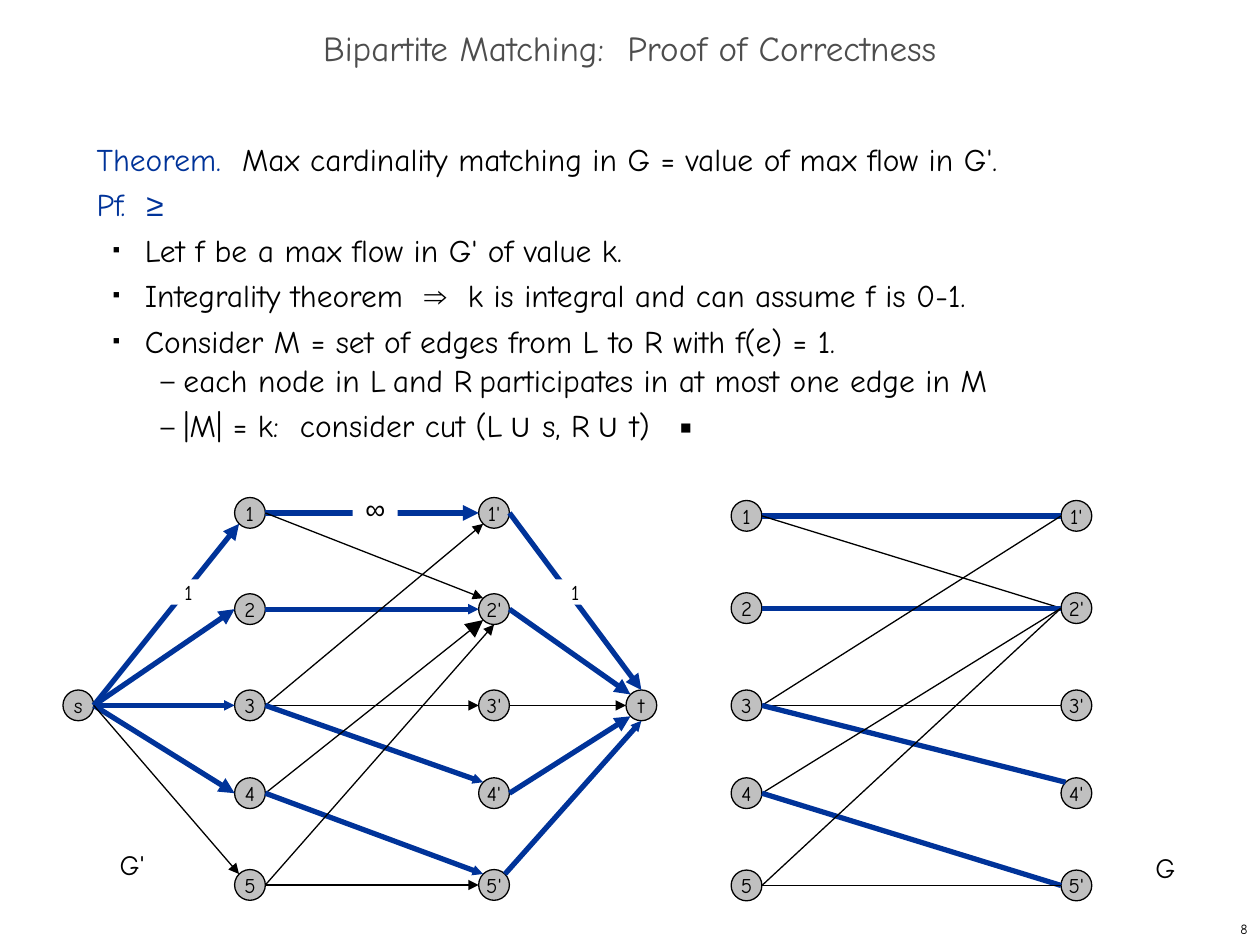
"""Build the bipartite matching proof slide with its flow network and graph."""
from dataclasses import dataclass
from typing import Any

import lxml.etree
import pptx
import pptx.dml.color
import pptx.enum.dml
import pptx.enum.shapes
import pptx.enum.text
import pptx.oxml.ns
import pptx.util

Cm = pptx.util.Cm
Pt = pptx.util.Pt
ALIGN = pptx.enum.text.PP_ALIGN
ANCHOR = pptx.enum.text.MSO_ANCHOR
SHAPES = pptx.enum.shapes.MSO_SHAPE
BLACK, WHITE, BLUE, GREY, TITLE_GREY = "000000", "FFFFFF", "003399", "C0C0C0", "4D4D4D"
HAND, SYMBOL = "Comic Neue", "Arial"
NODE_SIZE = 0.62
RIM = {
    "N": (0, -1), "S": (0, 1), "W": (-1, 0), "E": (1, 0),
    "NW": (-0.71, -0.71), "SW": (-0.71, 0.71), "NE": (0.71, -0.71),
}


@dataclass
class Run:
    text: str
    font: str = HAND
    colour: str = BLACK
    size: int = 18
    baseline: int = 0


@dataclass
class Bullet:
    char: str
    level: int
    margin: float
    indent: float
    percent: int


@dataclass
class Line:
    runs: list[Run]
    bullet: Bullet | None = None
    tab: float | None = None


@dataclass
class Edge:
    source: str
    target: str
    end: str = "W"
    matched: bool = False
    head: str = "med"
    start: str = "E"


@dataclass
class Label:
    text: str
    box: tuple[float, float, float, float]
    size: int
    font: str = HAND
    fill: str | None = None


def rgb(colour: str) -> pptx.dml.color.RGBColor:
    return pptx.dml.color.RGBColor.from_string(colour)


def set_all(target: Any, values: dict[str, Any]) -> None:
    for name, value in values.items():
        setattr(target, name, value)


def add_element(parent: Any, tag: str, **attributes: str) -> Any:
    return lxml.etree.SubElement(parent, pptx.oxml.ns.qn(tag), attributes)


def add_run(paragraph: Any, item: Run) -> None:
    run = paragraph.add_run()
    run.text = item.text
    set_all(run.font, {"name": item.font, "size": Pt(item.size)})
    run.font.color.rgb = rgb(item.colour)
    if item.baseline:
        run._r.get_or_add_rPr().set("baseline", str(item.baseline * 1000))


def add_text_box(slide: Any, box: tuple, frame_format: dict[str, Any]) -> Any:
    shape = slide.shapes.add_textbox(*map(Cm, box))
    set_all(shape.text_frame, {"word_wrap": True, **frame_format})
    return shape


def add_single_line(slide: Any, box: tuple, run: Run, **paragraph_format: Any) -> None:
    shape = add_text_box(slide, box, {"vertical_anchor": ANCHOR.MIDDLE})
    paragraph = shape.text_frame.paragraphs[0]
    set_all(paragraph, paragraph_format)
    add_run(paragraph, run)


def add_body(slide: Any, box: tuple, lines: list[Line]) -> None:
    frame = add_text_box(slide, box, {}).text_frame
    for index, line in enumerate(lines):
        paragraph = frame.add_paragraph() if index else frame.paragraphs[0]
        paragraph.line_spacing = Pt(26)
        properties = paragraph._p.get_or_add_pPr()
        if line.bullet:
            paragraph.level = line.bullet.level
            properties.set("marL", str(Cm(line.bullet.margin)))
            properties.set("indent", str(Cm(line.bullet.indent)))
            add_element(add_element(properties, "a:buClr"), "a:srgbClr", val=BLACK)
            add_element(properties, "a:buSzPct", val=str(line.bullet.percent * 1000))
            add_element(properties, "a:buFont", typeface=SYMBOL)
            add_element(properties, "a:buChar", char=line.bullet.char)
        if line.tab:
            tabs = add_element(properties, "a:tabLst")
            add_element(tabs, "a:tab", pos=str(Cm(line.tab)), algn="l")
        for run in line.runs:
            add_run(paragraph, run)


def add_node(slide: Any, name: str, centre: tuple[float, float]) -> None:
    left, top = (value - NODE_SIZE / 2 for value in centre)
    shape = slide.shapes.add_shape(SHAPES.OVAL, Cm(left), Cm(top), Cm(NODE_SIZE), Cm(NODE_SIZE))
    shape.shadow.inherit = False
    shape.fill.solid()
    shape.fill.fore_color.rgb = rgb(GREY)
    shape.line.color.rgb = rgb(BLACK)
    shape.line.width = Pt(0.75)
    set_all(shape.text_frame, {"word_wrap": False, "vertical_anchor": ANCHOR.MIDDLE})
    paragraph = shape.text_frame.paragraphs[0]
    paragraph.alignment = ALIGN.CENTER
    add_run(paragraph, Run(name, size=12))


def rim_point(centre: tuple[float, float], side: str) -> list[pptx.util.Length]:
    return [Cm(value + unit * NODE_SIZE / 2) for value, unit in zip(centre, RIM[side])]


def add_edge(slide: Any, nodes: dict, edge: Edge, directed: bool) -> None:
    connector = slide.shapes.add_connector(
        pptx.enum.shapes.MSO_CONNECTOR.STRAIGHT,
        *rim_point(nodes[edge.source], edge.start), *rim_point(nodes[edge.target], edge.end))
    connector.line.color.rgb = rgb(BLUE if edge.matched else BLACK)
    connector.line.width = Pt(3 if edge.matched else 0.75)
    properties = connector.element.spPr
    if directed:
        add_element(properties.find(pptx.oxml.ns.qn("a:ln")), "a:tailEnd",
                    type="triangle", w=edge.head, len=edge.head)
    add_element(properties, "a:effectLst")


def add_graph(slide: Any, nodes: dict, edges: list[Edge], directed: bool) -> None:
    for name, centre in nodes.items():
        add_node(slide, name, centre)
    for edge in edges:
        add_edge(slide, nodes, edge, directed)


def add_label(slide: Any, label: Label) -> None:
    shape = add_text_box(slide, label.box, {})
    paragraph = shape.text_frame.paragraphs[0]
    if label.fill:
        shape.fill.solid()
        shape.fill.fore_color.rgb = rgb(label.fill)
        margins = ("margin_left", "margin_right", "margin_top", "margin_bottom")
        set_all(shape.text_frame, dict.fromkeys(margins, 0))
        paragraph.alignment = ALIGN.CENTER
    add_run(paragraph, Run(label.text, label.font, size=label.size))


def columns(left: float, right: float, rows: list[float]) -> dict[str, tuple[float, float]]:
    return {f"{number}{mark}": (x, y) for x, mark in ((left, ""), (right, "'"))
            for number, y in enumerate(rows, 1)}


SQUARE = Bullet("■", 1, 0.97, -0.64, 35)
DASH = Bullet("–", 2, 1.75, -0.46, 80)
LOW_SPACE = Run(" ", size=20, baseline=-25)
UNION = Run("∪", SYMBOL)
PROOF = [
    Line([Run("Theorem.  ", colour=BLUE),
          Run("Max cardinality matching in G = value of max flow in G'.")]),
    Line([Run("Pf.  ", colour=BLUE), Run("≥", SYMBOL, BLUE)]),
    Line([Run("Let f be a max flow in G' of value k.")], SQUARE),
    Line([Run("Integrality theorem  "), Run("⇒", SYMBOL),
          Run("  k is integral and can assume f is 0-1.")], SQUARE),
    Line([Run("Consider M = set of edges from L to R with f(e) = 1.")], SQUARE),
    Line([Run("each node in L"), LOW_SPACE, Run("and R"), LOW_SPACE,
          Run("participates in at most one edge in M")], DASH),
    Line([Run("|M| = k:  consider cut (L"), LOW_SPACE, UNION, Run(" s, R"), LOW_SPACE,
          UNION, Run(" t)\t▪")], DASH, 11.75),
]
NETWORK_NODES = {"s": (1.58, 14.22), "t": (12.93, 14.22),
                 **columns(5.04, 9.96, [10.34, 12.28, 14.22, 15.99, 17.84])}
GRAPH_NODES = columns(15.05, 21.7, [10.4, 12.26, 14.22, 15.99, 17.85])
NETWORK_EDGES = [
    Edge("s", "1", "SW", True), Edge("s", "2", "W", True), Edge("s", "3", "W", True, "sm"),
    Edge("s", "4", "W", True), Edge("s", "5", "NW"),
    Edge("1", "1'", "W", True), Edge("1", "2'", "NW"), Edge("2", "2'", "W", True, "sm"),
    Edge("3", "1'", "SW"), Edge("3", "3'"), Edge("3", "4'", "NW", True, "sm"),
    Edge("4", "2'", "SW", head="lg"), Edge("4", "5'", "NW", True, "sm"),
    Edge("5", "2'", "S"), Edge("5", "5'"),
    Edge("1'", "t", "N", True), Edge("2'", "t", "NW", True), Edge("3'", "t"),
    Edge("4'", "t", "SW", True), Edge("5'", "t", "S", True, "sm", "NE"),
]
GRAPH_EDGES = [
    Edge("1", "1'", matched=True), Edge("1", "2'"), Edge("2", "2'", matched=True),
    Edge("3", "1'"), Edge("3", "3'"), Edge("3", "4'", "NW", True),
    Edge("4", "2'"), Edge("4", "5'", matched=True), Edge("5", "2'"), Edge("5", "5'"),
]
LABELS = [
    Label("1", (3.33, 11.68, 0.94, 0.51), 12, fill=WHITE),
    Label("1", (11.13, 11.68, 0.94, 0.51), 12, fill=WHITE),
    Label("∞", (7.11, 9.91, 0.91, 0.69), 16, SYMBOL, WHITE),
    Label("G'", (2.16, 16.97, 1.55, 0.94), 16),
    Label("G", (23.04, 17.02, 1.55, 0.94), 16),
]


def main() -> None:
    presentation = pptx.Presentation()
    set_all(presentation, {"slide_width": Cm(25.4), "slide_height": Cm(19.05)})
    slide = presentation.slides.add_slide(presentation.slide_layouts[6])
    add_single_line(slide, (0, 0.43, 25.4, 1.27),
                    Run("Bipartite Matching:  Proof of Correctness", colour=TITLE_GREY, size=20),
                    alignment=ALIGN.CENTER, line_spacing=0.7)
    add_body(slide, (1.7, 2.54, 21.79, 15.04), PROOF)
    add_graph(slide, NETWORK_NODES, NETWORK_EDGES, directed=True)
    add_graph(slide, GRAPH_NODES, GRAPH_EDGES, directed=False)
    for label in LABELS:
        add_label(slide, label)
    add_single_line(slide, (20.12, 18.42, 5.28, 0.63), Run("8", size=8), alignment=ALIGN.RIGHT)
    presentation.save("out.pptx")


if __name__ == "__main__":
    main()
